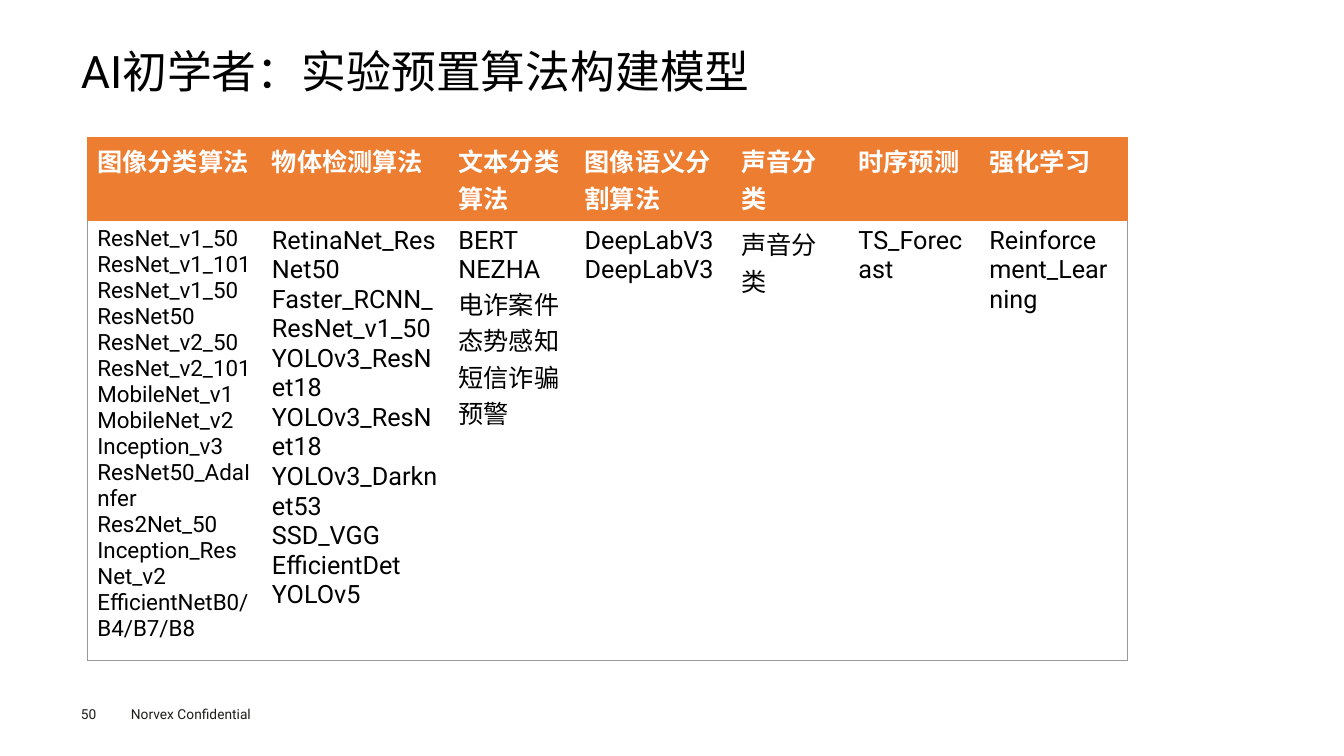
from lxml import etree
from pptx import Presentation
from pptx.dml.color import RGBColor
from pptx.enum.text import MSO_ANCHOR
from pptx.oxml.ns import qn
from pptx.util import Cm, Pt

TOP, MIDDLE = MSO_ANCHOR.TOP, MSO_ANCHOR.MIDDLE
FONT = "Roboto"
COLORS = {
    "header": "ED7D31",
    "outline": "999999",
    "white": "FFFFFF",
    "black": "000000",
    "footer": "1D1D1B",
}
# heading, column width in cm, body text size, algorithms
ALGORITHMS = [
    ("图像分类算法", 4.4, 16, [
        "ResNet_v1_50", "ResNet_v1_101", "ResNet_v1_50", "ResNet50",
        "ResNet_v2_50", "ResNet_v2_101", "MobileNet_v1", "MobileNet_v2",
        "Inception_v3", "ResNet50_AdaInfer", "Res2Net_50",
        "Inception_ResNet_v2", "EfficientNetB0/B4/B7/B8"]),
    ("物体检测算法", 4.7, 18, [
        "RetinaNet_ResNet50", "Faster_RCNN_ResNet_v1_50",
        "YOLOv3_ResNet18", "YOLOv3_ResNet18", "YOLOv3_Darknet53",
        "SSD_VGG", "EfficientDet", "YOLOv5"]),
    ("文本分类算法", 3.18, 18, ["BERT", "NEZHA", "电诈案件态势感知", "短信诈骗预警"]),
    ("图像语义分割算法", 3.95, 18, ["DeepLabV3", "DeepLabV3"]),
    ("声音分类", 2.95, 18, ["声音分类"]),
    ("时序预测", 3.3, 18, ["TS_Forecast"]),
    ("强化学习", 3.73, 18, ["Reinforcement_Learning"]),
]


def write(frame, lines, size, color, bold=False, spacing=None):
    """Fill a text frame with one paragraph per line."""
    for index, line in enumerate(lines):
        paragraph = frame.add_paragraph() if index else frame.paragraphs[0]
        if spacing:
            paragraph.line_spacing = spacing
        run = paragraph.add_run()
        run.text = line
        run.font.name = FONT
        run.font.size = Pt(size)
        run.font.bold = bold
        run.font.color.rgb = RGBColor.from_string(COLORS[color])


def add_text(slide, box, text, size, color, inset=True, anchor=TOP, spacing=None):
    frame = slide.shapes.add_textbox(*(Cm(length) for length in box)).text_frame
    frame.word_wrap = True
    frame.vertical_anchor = anchor
    if not inset:
        frame.margin_left = frame.margin_right = 0
        frame.margin_top = frame.margin_bottom = 0
    write(frame, [text], size, color, spacing=spacing)


def set_borders(cell, edges):
    """Draw the sides named in edges (L, R, T, B) and clear the others."""
    properties = cell._tc.get_or_add_tcPr()
    for side in "LRTB":
        line = etree.SubElement(properties, qn(f"a:ln{side}"), w=str(Pt(0.5)))
        if side in edges:
            fill = etree.SubElement(line, qn("a:solidFill"))
            etree.SubElement(fill, qn("a:srgbClr"), val=COLORS[edges[side]])
        else:
            etree.SubElement(line, qn("a:noFill"))


def format_cell(cell, lines, size, color, fill, edges, bold=False):
    write(cell.text_frame, lines, size, color, bold)
    set_borders(cell, edges)
    cell.fill.solid()
    cell.fill.fore_color.rgb = RGBColor.from_string(COLORS[fill])


def add_algorithm_table(slide, left, top, header_height, body_height):
    last = len(ALGORITHMS) - 1
    width = sum(column[1] for column in ALGORITHMS)
    table = slide.shapes.add_table(
        2, len(ALGORITHMS), Cm(left), Cm(top), Cm(width),
        Cm(header_height + body_height)).table
    table.first_row = table.horz_banding = False
    table.rows[0].height = Cm(header_height)
    table.rows[1].height = Cm(body_height)
    for index, (heading, column_width, size, names) in enumerate(ALGORITHMS):
        table.columns[index].width = Cm(column_width)
        outer = {0: "L", last: "R"}.get(index)
        header_edges = {"T": "header", "B": "header"}
        body_edges = {"T": "header", "B": "outline"}
        if outer:
            header_edges[outer] = "header"
            body_edges[outer] = "outline"
        format_cell(table.cell(0, index), [heading], 18, "white", "header",
                    header_edges, bold=True)
        format_cell(table.cell(1, index), names, size, "black", "white", body_edges)


def add_footer(slide, left, top):
    add_text(slide, (left, top + 0.14, 1.4, 0.41), "50", 9.8, "footer",
             inset=False, anchor=MIDDLE)
    add_text(slide, (left + 1.01, top, 4.06, 0.69), "Norvex Confidential",
             9.8, "footer", anchor=MIDDLE)


def main():
    presentation = Presentation()
    presentation.slide_width = Cm(33.87)
    presentation.slide_height = Cm(19.05)
    slide = presentation.slides.add_slide(presentation.slide_layouts[6])
    add_text(slide, (2.04, 1.26, 29.79, 2.79), "AI初学者：实验预置算法构建模型",
             32, "black", inset=False, spacing=0.9)
    add_algorithm_table(slide, left=2.2, top=3.47, header_height=2.09,
                        body_height=11.06)
    add_footer(slide, left=2.04, top=17.65)
    presentation.save("out.pptx")


if __name__ == "__main__":
    main()
